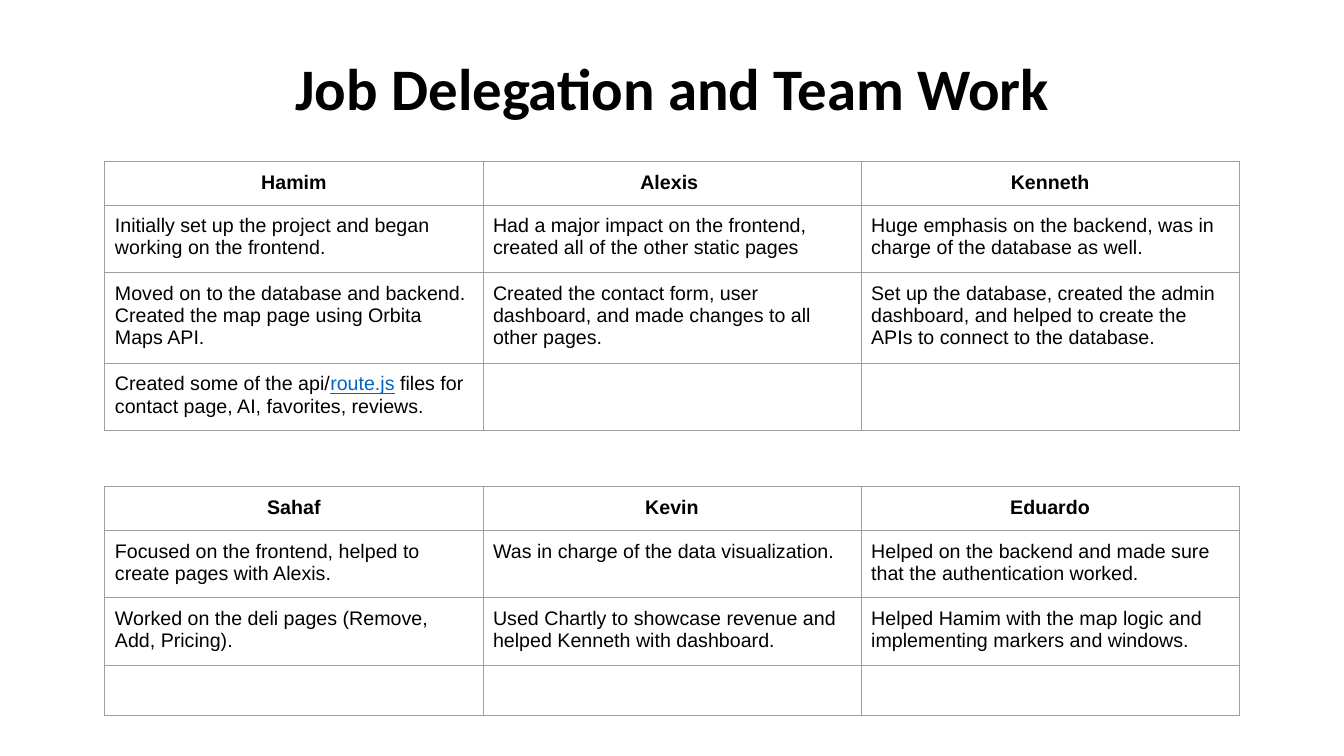
from lxml import etree
from pptx import Presentation
from pptx import util as u
from pptx.dml.color import RGBColor
from pptx.enum import text
from pptx.oxml.ns import qn

BLACK = RGBColor(0x00, 0x00, 0x00)
LINK_BLUE = RGBColor(0x05, 0x63, 0xC1)
GRID_GREY = RGBColor(0x9E, 0x9E, 0x9E)

FIRST_TEAM = [
    ["Hamim", "Alexis ", "Kenneth"],
    ["Initially set up the project and began working on the frontend.",
     "Had a major impact on the frontend, created all of the other static pages",
     "Huge emphasis on the backend, was in charge of the database as well."],
    ["Moved on to the database and backend. Created the map page using Orbita Maps API.",
     "Created the contact form, user dashboard, and made changes to all other pages.",
     "Set up the database, created the admin dashboard, and helped to create the "
     "APIs to connect to the database."],
    [("Created some of the api/", "route.js",
      " files for contact page, AI, favorites, reviews."), "", ""],
]
SECOND_TEAM = [
    ["Sahaf", "Kevin", "Eduardo"],
    ["Focused on the frontend, helped to create pages with Alexis.",
     "Was in charge of the data visualization.",
     "Helped on the backend and made sure that the authentication worked."],
    ["Worked on the deli pages (Remove, Add, Pricing).",
     "Used Chartly to showcase revenue and helped Kenneth with dashboard.",
     "Helped Hamim with the map logic and implementing markers and windows."],
    ["", "", ""],
]


class SlideBuilder:
    heading_font = "Calibri"
    body_font = "Arial"
    body_size = 14
    empty_size = 18
    cell_margin = u.Inches(0.1)
    column_width = 3.75
    row_height = 0.42

    def __init__(self, slide):
        self.slide = slide

    def add_run(self, paragraph, words, font, size, bold=False, link=False):
        run = paragraph.add_run()
        run.text = words
        run.font.name = font
        run.font.size = u.Pt(size)
        run.font.bold = bold
        run.font.underline = link
        run.font.color.rgb = LINK_BLUE if link else BLACK

    def add_title(self, words, left, top, width, height):
        shape = self.slide.shapes.add_textbox(
            u.Inches(left), u.Inches(top), u.Inches(width), u.Inches(height))
        frame = shape.text_frame
        frame.word_wrap = True
        frame.vertical_anchor = text.MSO_ANCHOR.MIDDLE
        paragraph = frame.paragraphs[0]
        paragraph.alignment = text.PP_ALIGN.CENTER
        paragraph.line_spacing = 0.9
        self.add_run(paragraph, words, self.heading_font, 42, bold=True)

    def add_borders(self, cell):
        properties = cell._tc.get_or_add_tcPr()
        for side in ("lnL", "lnR", "lnT", "lnB"):
            line = etree.SubElement(properties, qn(f"a:{side}"), w=str(u.Pt(0.75)))
            fill = etree.SubElement(line, qn("a:solidFill"))
            etree.SubElement(fill, qn("a:srgbClr"), val=str(GRID_GREY))

    def fill_cell(self, cell, content, header):
        cell.margin_left = cell.margin_right = self.cell_margin
        cell.margin_top = cell.margin_bottom = self.cell_margin
        self.add_borders(cell)
        cell.fill.background()
        paragraph = cell.text_frame.paragraphs[0]
        if not content:
            # Font of an empty cell, which sets its row height
            mark = etree.SubElement(paragraph._p, qn("a:endParaRPr"),
                                    sz=str(self.empty_size * 100))
            etree.SubElement(mark, qn("a:latin"), typeface=self.body_font)
            return
        paragraph.alignment = text.PP_ALIGN.CENTER if header else text.PP_ALIGN.LEFT
        # In a tuple, the second piece is styled as a link
        pieces = content if isinstance(content, tuple) else (content,)
        for index, words in enumerate(pieces):
            self.add_run(paragraph, words, self.body_font, self.body_size,
                         bold=header, link=index == 1)

    def add_team_table(self, rows, left, top):
        columns = len(rows[0])
        table = self.slide.shapes.add_table(
            len(rows), columns, u.Inches(left), u.Inches(top),
            u.Inches(self.column_width * columns),
            u.Inches(self.row_height * len(rows))).table
        table.first_row = table.horz_banding = False
        for row_index, row in enumerate(rows):
            for column_index, content in enumerate(row):
                self.fill_cell(table.cell(row_index, column_index), content,
                               header=row_index == 0)


def main():
    presentation = Presentation()
    presentation.slide_width = u.Inches(13.33)
    presentation.slide_height = u.Inches(7.5)
    builder = SlideBuilder(presentation.slides.add_slide(presentation.slide_layouts[6]))

    # Title
    builder.add_title("Job Delegation and Team Work", 2.59, 0.36, 8.16, 1.09)

    # Team tables
    for rows, top in ((FIRST_TEAM, 1.6), (SECOND_TEAM, 4.83)):
        builder.add_team_table(rows, 1.04, top)

    presentation.save("out.pptx")


if __name__ == "__main__":
    main()
